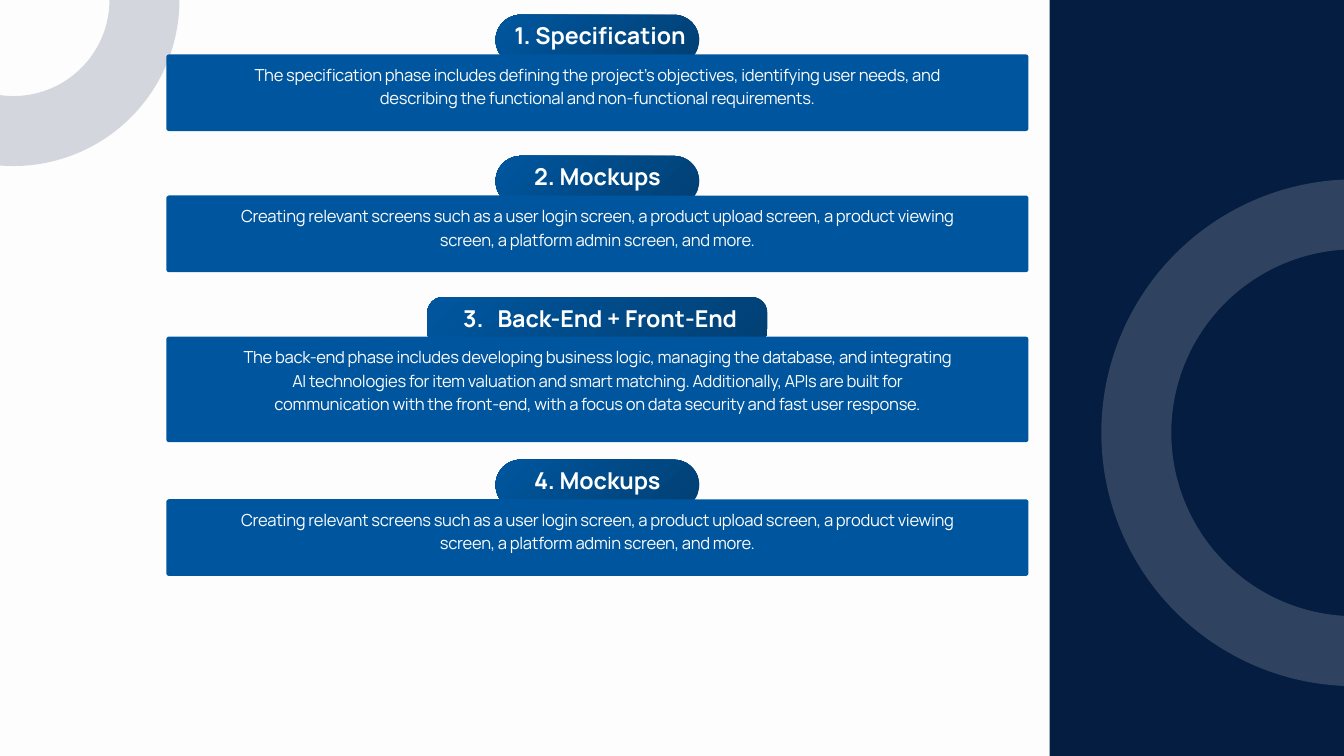
import pptx
import pptx.util
import pptx.dml.color
import pptx.enum.shapes
import pptx.enum.text
import lxml.etree
from dataclasses import dataclass

Inches = pptx.util.Inches
Pt = pptx.util.Pt
Kind = pptx.enum.shapes.MSO_SHAPE
Anchor = pptx.enum.text.MSO_ANCHOR
Align = pptx.enum.text.PP_ALIGN
A = "http://schemas.openxmlformats.org/drawingml/2006/main"


@dataclass(frozen=True)
class Theme:
    font: str = "Manrope"
    back: str = "FDFDFD"
    navy: str = "051D40"
    blue: str = "00569E"
    deep: str = "014074"
    white: str = "FFFFFF"
    head: float = 24.9
    body: float = 17.8
    head_line: float = 34.8
    body_line: float = 24.9
    ring: float = 75


@dataclass(frozen=True)
class Step:
    num: str
    name: str
    text: str
    top: float
    deep: float = 1.14      # height of the blue box
    lines: int = 2          # lines the text box has room for
    wide: float = 3.03      # width of the tab
    round: float = 0.5
    nudge: float = 0        # shift of the heading to the right
    gap: float = 0          # extra points between number and name


SCREENS = ("Creating relevant screens such as a user login screen, a product upload "
           "screen, a product viewing screen, a platform admin screen, and more.")
STEPS = [
    Step("1.", "Specification",
         "The specification phase includes defining the project's objectives, "
         "identifying user needs, and describing the functional and "
         "non-functional requirements.", 0.22, lines=3, nudge=0.08),
    Step("2.", "Mockups", SCREENS, 2.32),
    Step("3.", "Back-End + Front-End",
         "The back-end phase includes developing business logic, managing the "
         "database, and integrating AI technologies for item valuation and smart "
         "matching. Additionally, APIs are built for communication with the "
         "front-end, with a focus on data security and fast user response.",
         4.42, deep=1.57, lines=5, wide=5.06, round=0.31, nudge=0.08, gap=10),
    Step("4.", "Mockups", SCREENS, 6.84),
]
MID = 8.89
BOX_WIDE = 12.83
TEXT_WIDE = 10.67


def rgb(code):
    return pptx.dml.color.RGBColor.from_string(code)


class Deck:
    def __init__(self, theme):
        self.theme = theme
        self.show = pptx.Presentation()
        self.show.slide_width = Inches(20)
        self.show.slide_height = Inches(11.25)
        self.slide = self.show.slides.add_slide(self.show.slide_layouts[6])
        self.slide.background.fill.solid()
        self.slide.background.fill.fore_color.rgb = rgb(theme.back)

    def shape(self, kind, left, top, wide, high):
        item = self.slide.shapes.add_shape(
            kind, Inches(left), Inches(top), Inches(wide), Inches(high))
        item.shadow.inherit = False
        item.line.fill.background()
        return item

    def block(self, left, top, wide, high, color, round=0):
        kind = Kind.ROUNDED_RECTANGLE if round else Kind.RECTANGLE
        item = self.shape(kind, left, top, wide, high)
        if round:
            item.adjustments[0] = round
        item.fill.solid()
        item.fill.fore_color.rgb = rgb(color)

    def ring(self, left, top, size, color):
        """Draw a see-through circle outline."""
        item = self.shape(Kind.OVAL, left, top, size, size)
        item.fill.background()
        item.line.width = Pt(self.theme.ring)
        item.line.fill.solid()
        item.line.color.rgb = rgb(color)
        tint = item.line._ln.find(f".//{{{A}}}srgbClr")
        lxml.etree.SubElement(tint, f"{{{A}}}alpha", val="16000")

    def tab(self, left, top, wide, high, round):
        """Draw a tab shaded outward from its top left corner."""
        item = self.shape(Kind.ROUNDED_RECTANGLE, left, top, wide, high)
        item.adjustments[0] = round
        item.fill.gradient()
        colors = (self.theme.blue, self.theme.deep)
        for spot, (stop, color) in enumerate(zip(item.fill.gradient_stops, colors)):
            stop.position = spot
            stop.color.rgb = rgb(color)
        line = item._element.spPr.find(f".//{{{A}}}lin")
        grad = line.getparent()
        grad.remove(line)
        way = lxml.etree.SubElement(grad, f"{{{A}}}path")
        way.set("path", "circle")
        lxml.etree.SubElement(way, f"{{{A}}}fillToRect", r="100000", b="100000")

    def text(self, left, top, wide, high, runs, size, line, color,
             bold=False, anchor=Anchor.TOP, nudge=0):
        """Add centred text; runs are pairs of words and letter spacing in points."""
        box = self.slide.shapes.add_textbox(
            Inches(left), Inches(top), Inches(wide), Inches(high))
        frame = box.text_frame
        frame.word_wrap = True
        frame.vertical_anchor = anchor
        frame.margin_top = frame.margin_right = frame.margin_bottom = 0
        frame.margin_left = Inches(nudge)
        para = frame.paragraphs[0]
        para.alignment = Align.CENTER
        para.line_spacing = Pt(line)
        for words, space in runs:
            run = para.add_run()
            run.text = words
            run.font.name = self.theme.font
            run.font.size = Pt(size)
            run.font.bold = bold
            run.font.color.rgb = rgb(color)
            if space:
                run.font._element.set("spc", str(round(space * 100)))

    def step(self, step):
        look = self.theme
        left = MID - step.wide / 2
        self.tab(left, step.top, step.wide, 0.75, step.round)
        runs = [(step.num, 0), (" ", step.gap), (step.name, 0)]
        self.text(left, step.top - 0.2, step.wide, 0.95, runs, look.head,
                  look.head_line, look.white, True, Anchor.MIDDLE, step.nudge)
        self.block(MID - BOX_WIDE / 2, step.top + 0.59, BOX_WIDE, step.deep,
                   look.blue, 0.04 / step.deep)
        self.text(MID - TEXT_WIDE / 2, step.top + 0.7, TEXT_WIDE,
                  step.lines * look.body_line / 72, [(step.text, -0.3)],
                  look.body, look.body_line, look.back)


def main():
    look = Theme()
    deck = Deck(look)
    deck.block(15.62, 0, 5.49, 11.25, look.navy)
    deck.ring(-1.75, -1.95, 3.9, look.navy)
    deck.ring(16.91, 3.19, 6.5, look.white)
    for step in STEPS:
        deck.step(step)
    deck.show.save("out.pptx")


if __name__ == "__main__":
    main()
